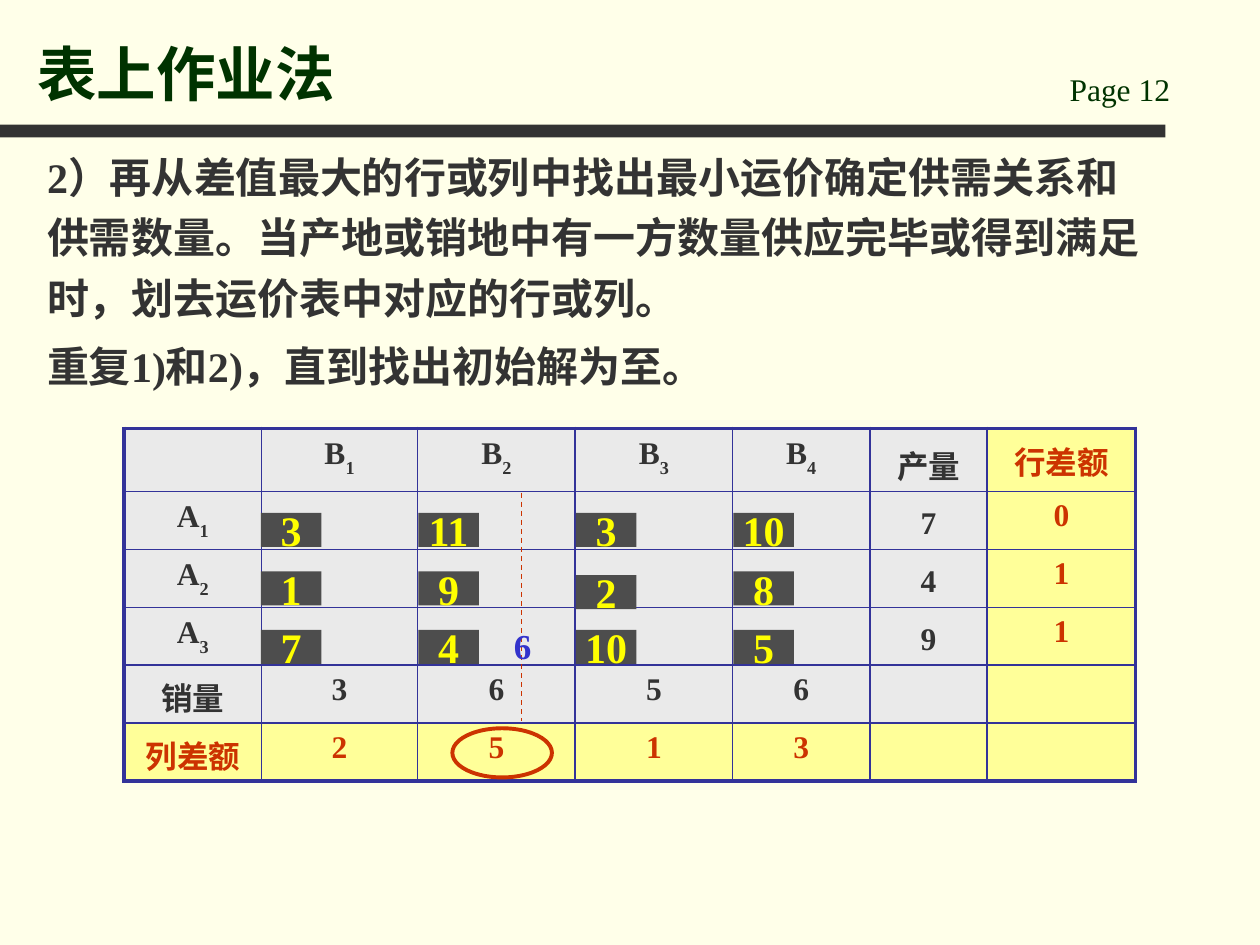
"""Build the slide on choosing the cell with the largest row or column difference."""
from dataclasses import dataclass

from lxml import etree
from pptx import Presentation
from pptx import util as u
from pptx.dml.color import RGBColor
from pptx.enum import dml, shapes, text
from pptx.oxml import ns

GRID_COLUMNS, GRID_ROWS = 100, 75
WIDTH, HEIGHT = u.Inches(10), u.Inches(7.5)
FONT = "Times New Roman"
COLORS = {
    "background": "FFFFE9", "ink": "333333", "title": "003300", "border": "333399",
    "cost": "EAEAEA", "difference": "FFFF99", "accent": "CC3300", "chip": "4D4D4D",
    "chip_text": "FFFF00", "allocation": "3333CC",
}
COLUMN_WIDTHS = [10.9, 12.4, 12.5, 12.5, 10.9, 9.3, 11.8]
ROW_HEIGHTS = [5, 4.6, 4.6, 4.6, 4.6, 4.6]
CELLS = [
    ["", "B_1", "B_2", "B_3", "B_4", "产量", "行差额"],
    ["A_1", "", "", "", "", "7", "0"],
    ["A_2", "", "", "", "", "4", "1"],
    ["A_3", "", "", "", "", "9", "1"],
    ["销量", "3", "6", "5", "6", "", ""],
    ["列差额", "2", "5", "1", "3", "", ""],
]
SUPPLY_COLUMN = 5
COSTS = [[3, 11, 3, 10], [1, 9, 2, 8], [7, 4, 10, 5]]
RULE_TEXT = [
    "2）再从差值最大的行或列中找出最小运价确定供需关系和供需数量。"
    "当产地或销地中有一方数量供应完毕或得到满足时，划去运价表中对应的行或列。",
    "重复1)和2)，直到找出初始解为至。",
]


@dataclass(frozen=True)
class Box:
    """Area in grid columns and rows."""
    left: float
    top: float
    width: float
    height: float

    def emu(self) -> tuple:
        return across(self.left), down(self.top), across(self.width), down(self.height)


@dataclass(frozen=True)
class Style:
    """Look of a run of text."""
    size: float
    color: str
    bold: bool = True


def across(columns: float) -> int:
    return round(WIDTH * columns / GRID_COLUMNS)


def down(rows: float) -> int:
    return round(HEIGHT * rows / GRID_ROWS)


def rgb(name: str) -> RGBColor:
    return RGBColor.from_string(COLORS[name])


def format_font(font, style: Style) -> None:
    font.name = FONT
    font.size = u.Pt(style.size)
    font.bold = style.bold
    font.color.rgb = rgb(style.color)


def format_runs(paragraph, style: Style) -> None:
    for run in paragraph.runs:
        format_font(run.font, style)


def add_text(slide, box: Box, lines: list, style: Style, spacing: float = 1.0,
             anchor=text.MSO_ANCHOR.TOP) -> None:
    text_frame = slide.shapes.add_textbox(*box.emu()).text_frame
    text_frame.word_wrap = True
    text_frame.vertical_anchor = anchor
    text_frame.text = "\n".join(lines)
    for index, paragraph in enumerate(text_frame.paragraphs):
        paragraph.line_spacing = spacing
        if index:
            paragraph.space_before = u.Pt(4.3)
        format_runs(paragraph, style)


def add_block(slide, box: Box, fill: str):
    shape = slide.shapes.add_shape(shapes.MSO_SHAPE.RECTANGLE, *box.emu())
    shape.shadow.inherit = False
    shape.fill.solid()
    shape.fill.fore_color.rgb = rgb(fill)
    shape.line.fill.background()
    return shape


def add_chip(slide, box: Box, cost: int) -> None:
    text_frame = add_block(slide, box, "chip").text_frame
    text_frame.word_wrap = False
    text_frame.vertical_anchor = text.MSO_ANCHOR.MIDDLE
    text_frame.text = str(cost)
    text_frame.paragraphs[0].alignment = text.PP_ALIGN.CENTER
    format_runs(text_frame.paragraphs[0], Style(24, "chip_text"))


def set_borders(cell, outer: dict) -> None:
    properties = cell._tc.get_or_add_tcPr()
    for side, is_outer in outer.items():
        width = u.Pt(2.25 if is_outer else 1)
        line = etree.SubElement(properties, ns.qn(f"a:ln{side}"), w=str(width))
        fill = etree.SubElement(line, ns.qn("a:solidFill"))
        etree.SubElement(fill, ns.qn("a:srgbClr"), val=COLORS["border"])


def fill_cell(cell, label: str, style: Style) -> None:
    base, _, subscript = label.partition("_")
    cell.margin_top = cell.margin_bottom = 0
    paragraph = cell.text_frame.paragraphs[0]
    paragraph.text = base
    paragraph.alignment = text.PP_ALIGN.CENTER
    paragraph.line_spacing = 1.2
    if subscript:
        run = paragraph.add_run()
        run.text = subscript
        run._r.get_or_add_rPr().set("baseline", "-30000")
    format_font(paragraph.font, style)
    format_runs(paragraph, style)


def add_cost_table(slide) -> None:
    box = Box(9.85, 34, sum(COLUMN_WIDTHS), sum(ROW_HEIGHTS))
    last_row, last_column = len(CELLS) - 1, len(COLUMN_WIDTHS) - 1
    table = slide.shapes.add_table(last_row + 1, last_column + 1, *box.emu()).table
    for column, width in zip(table.columns, COLUMN_WIDTHS):
        column.width = across(width)
    for row, height in zip(table.rows, ROW_HEIGHTS):
        row.height = down(height)
    for r, labels in enumerate(CELLS):
        for c, label in enumerate(labels):
            cell = table.cell(r, c)
            is_difference = r == last_row or c == last_column
            set_borders(cell, {"L": c == 0, "R": c == last_column,
                               "T": r == 0, "B": r == last_row})
            cell.fill.solid()
            cell.fill.fore_color.rgb = rgb("difference" if is_difference else "cost")
            if c == SUPPLY_COLUMN and label:
                cell.vertical_anchor = text.MSO_ANCHOR.MIDDLE
            fill_cell(cell, label, Style(18, "accent" if is_difference else "ink"))


def add_strike(slide, column: float, top: float, bottom: float) -> None:
    connector = slide.shapes.add_connector(
        shapes.MSO_CONNECTOR.STRAIGHT, across(column), down(top), across(column), down(bottom))
    connector.line.color.rgb = rgb("accent")
    connector.line.width = u.Pt(0.75)
    connector.line.dash_style = dml.MSO_LINE.DASH
    etree.SubElement(connector._element.spPr, ns.qn("a:effectLst"))


def add_ring(slide, box: Box) -> None:
    ring = slide.shapes.add_shape(shapes.MSO_SHAPE.OVAL, *box.emu())
    ring.shadow.inherit = False
    ring.fill.background()
    ring.line.color.rgb = rgb("accent")
    ring.line.width = u.Pt(2.25)


def main() -> None:
    presentation = Presentation()
    presentation.slide_width, presentation.slide_height = WIDTH, HEIGHT
    slide = presentation.slides.add_slide(presentation.slide_layouts[6])
    slide.background.fill.solid()
    slide.background.fill.fore_color.rgb = rgb("background")

    add_block(slide, Box(0, 9.9, 92.5, 1), "ink")
    add_text(slide, Box(83.9, 5.1, 14.2, 4), ["Page 12"], Style(18, "title", bold=False))
    add_text(slide, Box(2, 1.3, 80.3, 7.8), ["表上作业法"], Style(34, "title"),
             anchor=text.MSO_ANCHOR.BOTTOM)
    add_text(slide, Box(2.75, 10.7, 89, 20.8), RULE_TEXT, Style(24, "ink"), spacing=1.2)
    add_cost_table(slide)
    for r, costs in enumerate(COSTS):
        for c, cost in enumerate(costs):
            nudge = 0.3 if cost == 2 else 0
            add_chip(slide, Box(20.7 + 12.5 * c, 40.7 + 4.65 * r + nudge, 4.8, 2.7), cost)
    add_strike(slide, 41.4, 39.1, 57.2)
    add_ring(slide, Box(35.9, 57.8, 7.9, 3.9))
    add_text(slide, Box(39.8, 48.4, 4.7, 5.1), ["6"], Style(20, "allocation"), spacing=1.2)
    presentation.save("out.pptx")


if __name__ == "__main__":
    main()
